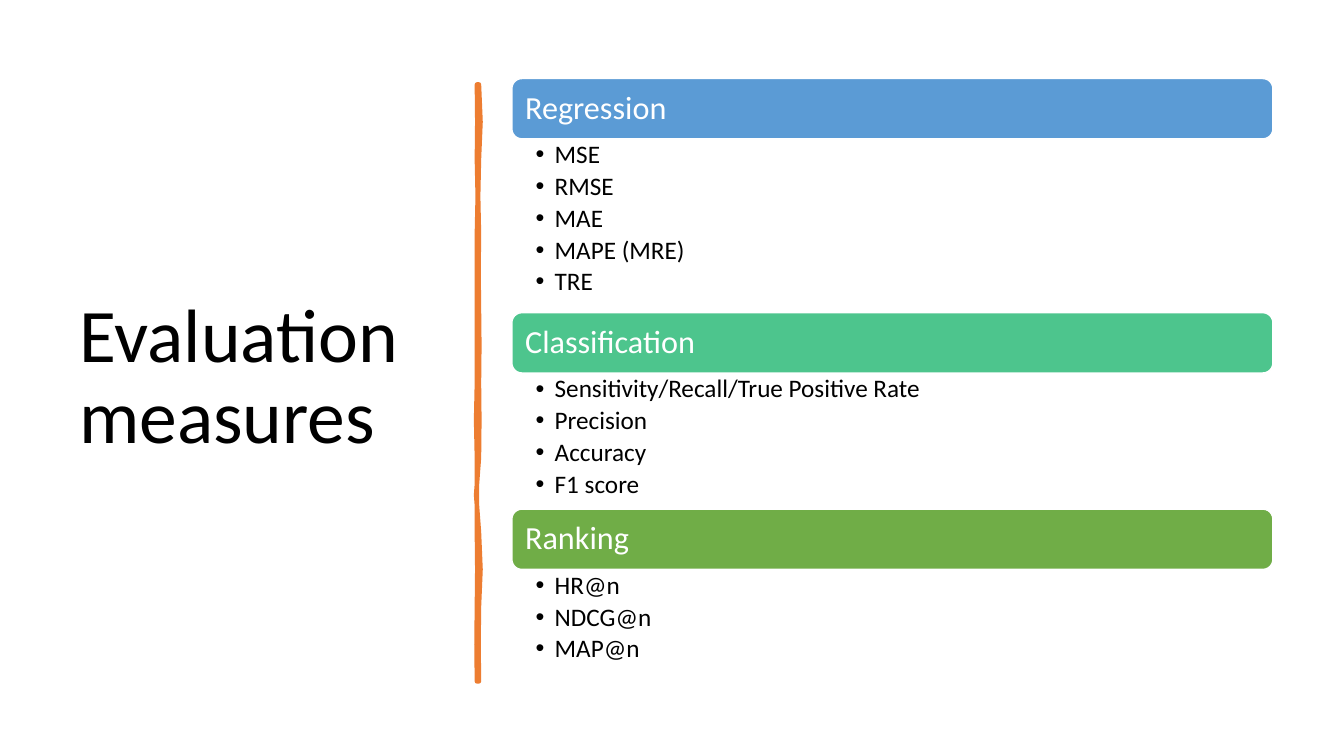
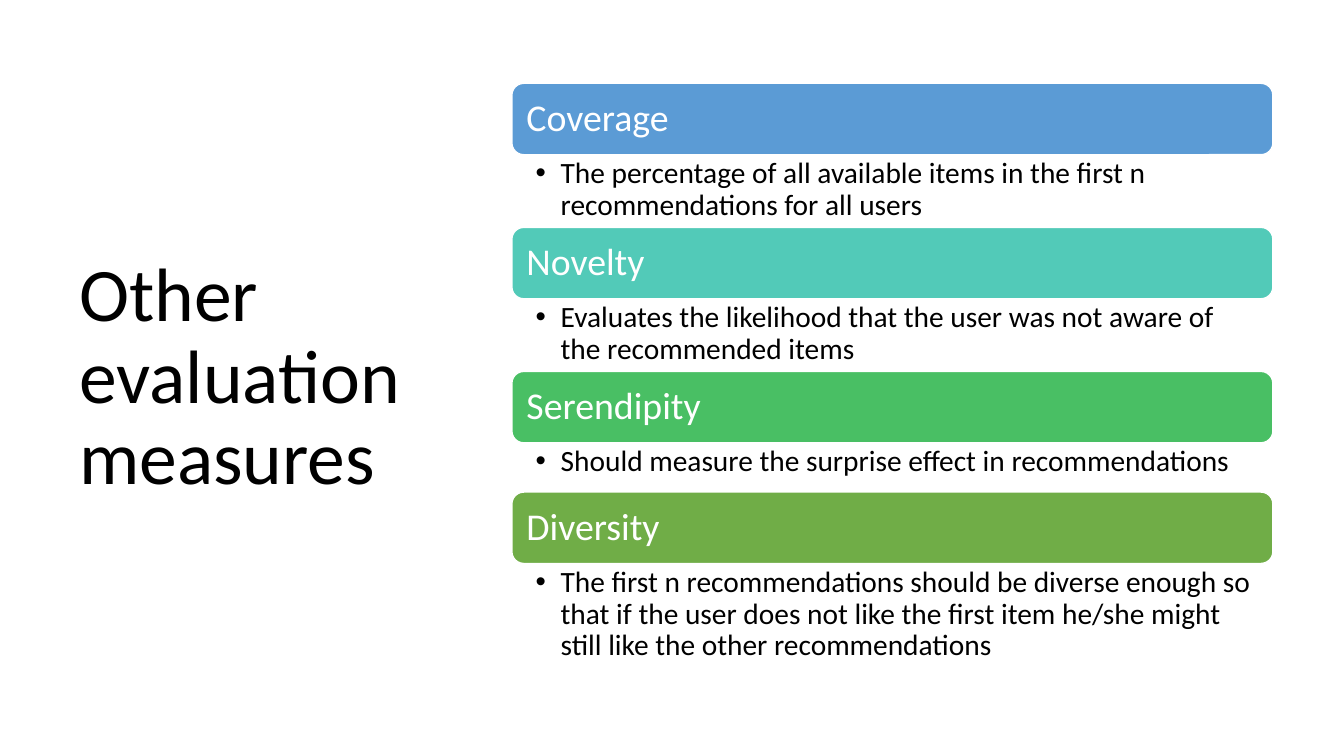
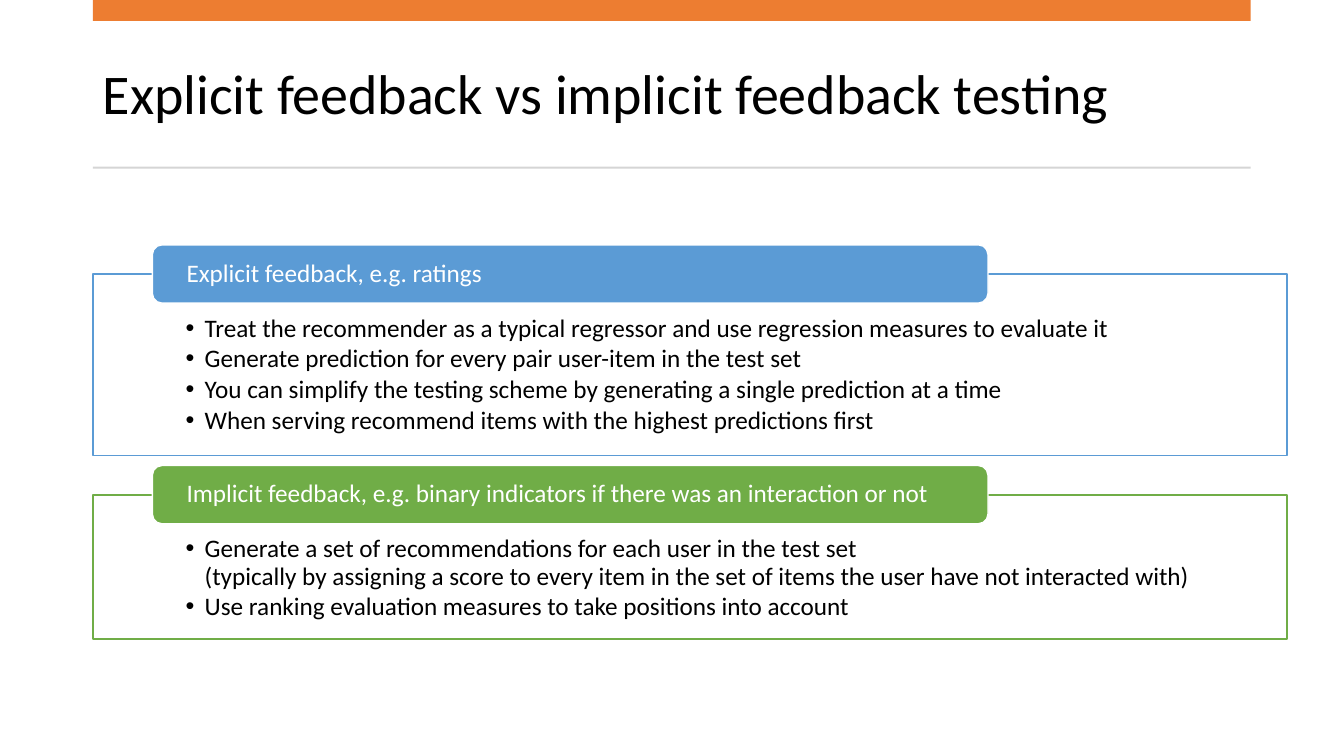
from lxml import etree
from pptx import Presentation
from pptx.dml.color import RGBColor
from pptx.enum.shapes import MSO_SHAPE
from pptx.enum.text import MSO_ANCHOR, PP_ALIGN
from pptx.oxml.ns import qn
from pptx.util import Cm, Pt

RECTANGLE = MSO_SHAPE.RECTANGLE
ROUNDED = MSO_SHAPE.ROUNDED_RECTANGLE
TOP = MSO_ANCHOR.TOP
MIDDLE = MSO_ANCHOR.MIDDLE
LEFT = PP_ALIGN.LEFT

FONT = "Calibri"
COLORS = {
    "black": "000000",
    "white": "FFFFFF",
    "orange": "ED7D31",
    "grey": "D5D5D5",
    "blue": "5B9BD5",
    "turquoise": "52CAB8",
    "mint": "4DC58D",
    "emerald": "49BF64",
    "green": "70AD47",
}
TITLE_INSETS = (0.25, 0.13, 0.25, 0.13)
SIDE_TITLE_BOX = (1.75, 1.78, 9.5, 15.52)
STACK_LEFT, STACK_WIDTH = 12.9, 19.18

COMPACT_STACK = {
    "bar_height": 1.52, "bar_size": 23, "bar_inset": 0.26,
    "body_size": 18, "body_insets": (0.6, 0.08, 0.46, 0.08), "hang": 0.48,
}
ROOMY_STACK = {
    "bar_height": 1.8, "bar_size": 27, "bar_inset": 0.28,
    "body_size": 21, "body_insets": (0.6, 0.09, 0.53, 0.09), "hang": 0.63,
}

MEASURES = [
    ("Regression", "blue", 4.38, ["MSE", "RMSE", "MAE", "MAPE (MRE)", "TRE"]),
    ("Classification", "mint", 3.43,
     ["Sensitivity/Recall/True Positive Rate", "Precision", "Accuracy", "F1 score"]),
    ("Ranking", "green", 2.59, ["HR@n", "NDCG@n", "MAP@n"]),
]
OTHER_MEASURES = [
    ("Coverage", "blue", 1.83,
     ["The percentage of all available items in the first n recommendations for all users"]),
    ("Novelty", "turquoise", 1.83,
     ["Evaluates the likelihood that the user was not aware of the recommended items"]),
    ("Serendipity", "emerald", 1.24,
     ["Should measure the surprise effect in recommendations"]),
    ("Diversity", "green", 2.64,
     ["The first n recommendations should be diverse enough so that if the user does not "
      "like the first item he/she might still like the other recommendations"]),
]
FEEDBACK = [
    ("Explicit feedback, e.g. ratings", "blue", 4.57,
     ["Treat the recommender as a typical regressor and use regression measures to evaluate it",
      "Generate prediction for every pair user-item in the test set",
      "You can simplify the testing scheme by generating a single prediction at a time",
      "When serving recommend items with the highest predictions first"]),
    ("Implicit feedback, e.g. binary indicators if there was an interaction or not", "green", 3.63,
     ["Generate a set of recommendations for each user in the test set\n"
      "(typically by assigning a score to every item in the set of items "
      "the user have not interacted with)",
      "Use ranking evaluation measures to take positions into account"]),
]

STROKE_RIGHT = [0.13, 0.17, 0.13, 0.11, 0.13, 0.12, 0.13, 0.14, 0.13,
                0.14, 0.13, 0.06, 0.13, 0.17, 0.13, 0.12, 0.13]
STROKE_LEFT = [0.08, 0.09, 0.08, 0.1, 0.08, 0.08, 0.08, 0.08, 0.08,
               0.06, 0.08, 0.08, 0.08, 0.09, 0.08, 0.07, 0.08]


def color(name):
    return RGBColor.from_string(COLORS[name])


def lengths(box):
    return [Cm(value) for value in box]


def write(shape, paragraphs, size, ink="black", anchor=TOP, insets=TITLE_INSETS,
          hang=0, gap=0):
    frame = shape.text_frame
    frame.word_wrap = True
    frame.vertical_anchor = anchor
    (frame.margin_left, frame.margin_top,
     frame.margin_right, frame.margin_bottom) = lengths(insets)
    for index, text in enumerate(paragraphs):
        para = frame.add_paragraph() if index else frame.paragraphs[0]
        para.text = text
        para.alignment = LEFT
        para.line_spacing = 0.9
        para.space_after = Pt(gap)
        for span in para.runs:
            span.font.name = FONT
            span.font.size = Pt(size)
            span.font.color.rgb = color(ink)
        if hang:
            add_bullet(para, hang)


def add_bullet(para, hang):
    properties = para._p.get_or_add_pPr()
    properties.set("marL", str(Cm(hang)))
    properties.set("indent", str(-Cm(hang)))
    etree.SubElement(properties, qn("a:buFont")).set("typeface", "Arial")
    etree.SubElement(properties, qn("a:buChar")).set("char", "•")


def paint(shape, fill, line=None, weight=1):
    shape.shadow.inherit = False
    shape.fill.solid()
    shape.fill.fore_color.rgb = color(fill)
    if line:
        shape.line.color.rgb = color(line)
        shape.line.width = Pt(weight)
    else:
        shape.line.fill.background()


def add_block(page, kind, box, fill, line=None):
    shape = page.shapes.add_shape(kind, *lengths(box))
    paint(shape, fill, line)
    return shape


def add_text(page, box, paragraphs, **style):
    write(page.shapes.add_textbox(*lengths(box)), paragraphs, **style)


def add_title(page, box, text, size):
    add_text(page, box, [text], size=size, anchor=MIDDLE)


def add_brush_stroke(page, box):
    left, top, height = box
    step = height / (len(STROKE_RIGHT) - 1)
    outline = [(x, row * step) for row, x in enumerate(STROKE_RIGHT)]
    outline += [(x, row * step) for row, x in enumerate(STROKE_LEFT)][::-1]
    points = [(Cm(left + x), Cm(top + y)) for x, y in outline]
    builder = page.shapes.build_freeform(*points[0])
    builder.add_line_segments(points[1:], close=True)
    stroke = builder.convert_to_shape()
    paint(stroke, "orange", "orange", 3.25)
    etree.SubElement(stroke._element.spPr.find(qn("a:ln")), qn("a:round"))


def add_stack(page, top, sections, look):
    bar_height = look["bar_height"]
    for heading, fill, body_height, points in sections:
        bar = add_block(page, ROUNDED, (STACK_LEFT, top, STACK_WIDTH, bar_height), fill, "white")
        write(bar, [heading], look["bar_size"], ink="white", anchor=MIDDLE,
              insets=[look["bar_inset"]] * 4)
        top += bar_height
        add_text(page, (STACK_LEFT, top, STACK_WIDTH, body_height), points,
                 size=look["body_size"], insets=look["body_insets"],
                 hang=look["hang"], gap=look["body_size"] * 0.18)
        top += body_height


def add_panel(page, box, heading, accent, points):
    left, top, _, _ = box
    frame = add_block(page, RECTANGLE, box, "white", accent)
    shade = frame._element.spPr.find(qn("a:solidFill"))[0]
    etree.SubElement(shade, qn("a:alpha")).set("val", "90000")
    write(frame, points, 18, insets=(2.34, 1.04, 2.34, 0.36), hang=0.48, gap=2.43)
    tab = add_block(page, ROUNDED, (left + 1.5, top - 0.74, 21.06, 1.47), accent, "white")
    write(tab, [heading], 18, ink="white", anchor=MIDDLE, insets=(0.79, 0, 0.79, 0))


def build_stack_page(page, title, top, sections, look):
    add_title(page, SIDE_TITLE_BOX, title, 54)
    add_stack(page, top, sections, look)


def build_feedback_page(page):
    left, width = 2.34, 29.18
    add_title(page, (left, 0.94, width, 3), "Explicit feedback vs implicit feedback testing", 40)
    add_block(page, RECTANGLE, (left, 0, width, 0.53), "orange")
    add_block(page, RECTANGLE, (left, 4.2, width, 0.05), "grey")
    top = 6.91
    for heading, accent, height, points in FEEDBACK:
        add_panel(page, (left, top, 30.1, height), heading, accent, points)
        top += height + 0.99


def main():
    deck = Presentation()
    deck.slide_width, deck.slide_height = Cm(33.87), Cm(19.05)
    blank = deck.slide_layouts[6]
    measures, others, feedback = [deck.slides.add_slide(blank) for _ in range(3)]
    build_stack_page(measures, "Evaluation measures", 1.98, MEASURES, COMPACT_STACK)
    add_brush_stroke(measures, (11.94, 2.13, 15.04))
    build_stack_page(others, "Other evaluation measures", 2.1, OTHER_MEASURES, ROOMY_STACK)
    build_feedback_page(feedback)
    deck.save("out.pptx")


if __name__ == "__main__":
    main()
